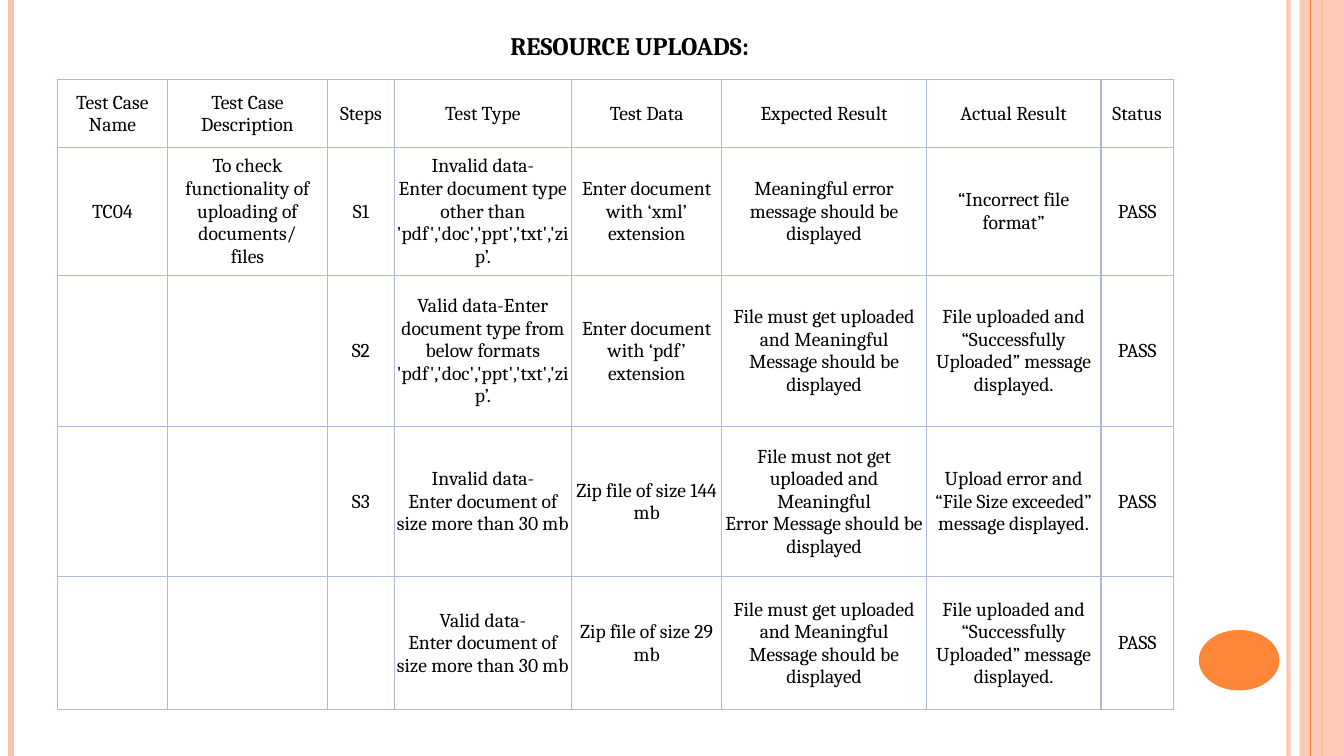
"""Build the resource uploads test case slide."""
import dataclasses

import lxml.etree
import pptx
import pptx.dml.color
import pptx.enum.shapes
import pptx.enum.text
import pptx.oxml.ns
import pptx.util

Inches = pptx.util.Inches
qn = pptx.oxml.ns.qn

COLUMN_WIDTHS = [1.09, 1.59, 0.66, 1.76, 1.49, 2.03, 1.73, 0.72]
ROW_HEIGHTS = [0.67, 1.27, 1.5, 1.49, 1.32]
FORMATS = "'pdf','doc','ppt','txt','zip’."
UPLOADED = "File uploaded and “Successfully Uploaded” message displayed."
MUST_UPLOAD = "File must get uploaded and Meaningful\nMessage should be displayed"
SIZE_STEP = "Enter document of size more than 30 mb"
TEST_CASES = [
    ["Test Case Name", "Test Case Description", "Steps", "Test Type", "Test Data",
     "Expected Result", "Actual Result", "Status"],
    ["TC04", "To check functionality of uploading of documents/\nfiles", "S1",
     "Invalid data-\nEnter document type other than " + FORMATS,
     "Enter document with ‘xml’\nextension",
     "Meaningful error message should be displayed", "“Incorrect file format”", "PASS"],
    ["", "", "S2", "Valid data-Enter document type from below formats " + FORMATS,
     "Enter document with ‘pdf’ extension", MUST_UPLOAD, UPLOADED, "PASS"],
    ["", "", "S3", "Invalid data-\n" + SIZE_STEP, "Zip file of size 144 mb",
     "File must not get uploaded and Meaningful\nError Message should be displayed",
     "Upload error and “File Size exceeded” message displayed.", "PASS"],
    ["", "", "", "Valid data-\n" + SIZE_STEP, "Zip file of size 29 mb",
     MUST_UPLOAD, UPLOADED, "PASS"],
]


@dataclasses.dataclass(frozen=True)
class Theme:
    """Colours, font and type sizes."""
    peach: str = "FEC3AE"
    orange: str = "FE8637"
    grid: str = "AEBAD5"
    ink: str = "000000"
    font: str = "Cambria"
    title_size: int = 18
    cell_size: int = 14


class SlideBuilder:
    """Draws themed elements on the current slide."""

    def __init__(self, slide, theme):
        self.slide = slide
        self.theme = theme

    def paint(self, fill, color, properties, opacity):
        """Set a solid colour with its opacity in percent."""
        fill.solid()
        fill.fore_color.rgb = pptx.dml.color.RGBColor.from_string(color)
        if opacity < 100:
            tint = properties.find(".//" + qn("a:srgbClr"))
            lxml.etree.SubElement(tint, qn("a:alpha"), val=str(opacity * 1000))

    def rule(self, x, color, width, opacity=100):
        """Draw a vertical line over the full slide height."""
        rule = self.slide.shapes.add_connector(
            pptx.enum.shapes.MSO_CONNECTOR.STRAIGHT, Inches(x), 0, Inches(x), Inches(7.5))
        rule.line.width = pptx.util.Pt(width)
        properties = rule._element.spPr
        self.paint(rule.line.fill, color, properties, opacity)
        lxml.etree.SubElement(properties, qn("a:effectLst"))

    def shape(self, kind, box, color, opacity=100):
        """Draw a filled shape without outline."""
        shape = self.slide.shapes.add_shape(kind, *map(Inches, box))
        shape.shadow.inherit = False
        shape.line.fill.background()
        self.paint(shape.fill, color, shape._element.spPr, opacity)

    def add_text(self, frame, text, size, bold=False):
        """Fill a text frame with centred paragraphs."""
        for index, words in enumerate(text.split("\n")):
            paragraph = frame.paragraphs[0] if index == 0 else frame.add_paragraph()
            paragraph.alignment = pptx.enum.text.PP_ALIGN.CENTER
            run = paragraph.add_run()
            run.text = words
            run.font.name = self.theme.font
            run.font.size = pptx.util.Pt(size)
            run.font.bold = bold
            run.font.color.rgb = pptx.dml.color.RGBColor.from_string(self.theme.ink)

    def title(self, text, box):
        """Place and format the title placeholder."""
        title = self.slide.shapes.title
        title.left, title.top, title.width, title.height = map(Inches, box)
        frame = title.text_frame
        frame.word_wrap = True
        frame.auto_size = pptx.enum.text.MSO_AUTO_SIZE.SHAPE_TO_FIT_TEXT
        frame.vertical_anchor = pptx.enum.text.MSO_ANCHOR.TOP
        self.add_text(frame, text, self.theme.title_size, bold=True)

    def cell(self, cell, text):
        """Format one table cell and add its text."""
        cell.margin_left = cell.margin_right = cell.margin_top = Inches(0.01)
        cell.margin_bottom = 0
        cell.vertical_anchor = pptx.enum.text.MSO_ANCHOR.MIDDLE
        properties = cell._tc.get_or_add_tcPr()
        for side in ("a:lnL", "a:lnR", "a:lnT", "a:lnB"):
            border = lxml.etree.SubElement(properties, qn(side), w=str(pptx.util.Pt(1)))
            solid = lxml.etree.SubElement(border, qn("a:solidFill"))
            lxml.etree.SubElement(solid, qn("a:srgbClr"), val=self.theme.grid)
        cell.fill.background()
        if text:
            self.add_text(cell.text_frame, text, self.theme.cell_size)

    def table(self, rows, left, top, widths, heights):
        """Draw a bordered table without banding."""
        table = self.slide.shapes.add_table(
            len(heights), len(widths), Inches(left), Inches(top),
            Inches(sum(widths)), Inches(sum(heights))).table
        table.first_row = table.horz_banding = False
        for column, width in zip(table.columns, widths):
            column.width = Inches(width)
        for row, height, texts in zip(table.rows, heights, rows):
            row.height = Inches(height)
            for cell, text in zip(row.cells, texts):
                self.cell(cell, text)


def main():
    """Assemble and save the slide."""
    deck = pptx.Presentation()
    deck.slide_width, deck.slide_height = Inches(13.33), Inches(7.5)
    theme = Theme()
    builder = SlideBuilder(deck.slides.add_slide(deck.slide_layouts[5]), theme)
    shapes = pptx.enum.shapes.MSO_SHAPE
    builder.rule(12.78, theme.peach, 3, opacity=93)
    builder.rule(0.11, theme.peach, 4.5)
    builder.rule(13.11, theme.orange, 1.5)
    builder.shape(shapes.RECTANGLE, (12.89, 0, 0.44, 7.5), theme.peach, opacity=87)
    builder.rule(13, theme.orange, 0.75)
    builder.shape(shapes.OVAL, (11.89, 6.25, 0.8, 0.6), theme.orange)
    builder.title("RESOURCE UPLOADS:", (3.8, 0.25, 4.89, 0.4))
    builder.table(TEST_CASES, 0.57, 0.79, COLUMN_WIDTHS, ROW_HEIGHTS)
    deck.save("out.pptx")


if __name__ == "__main__":
    main()
